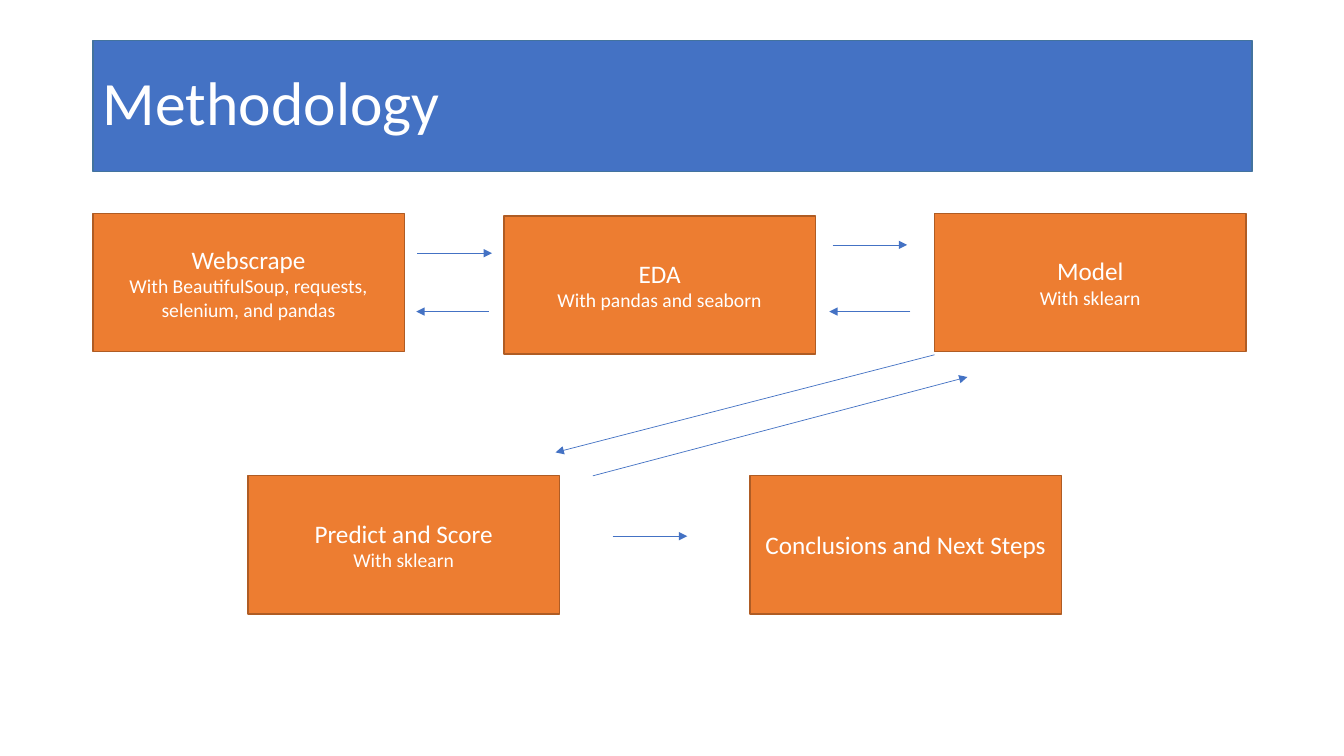
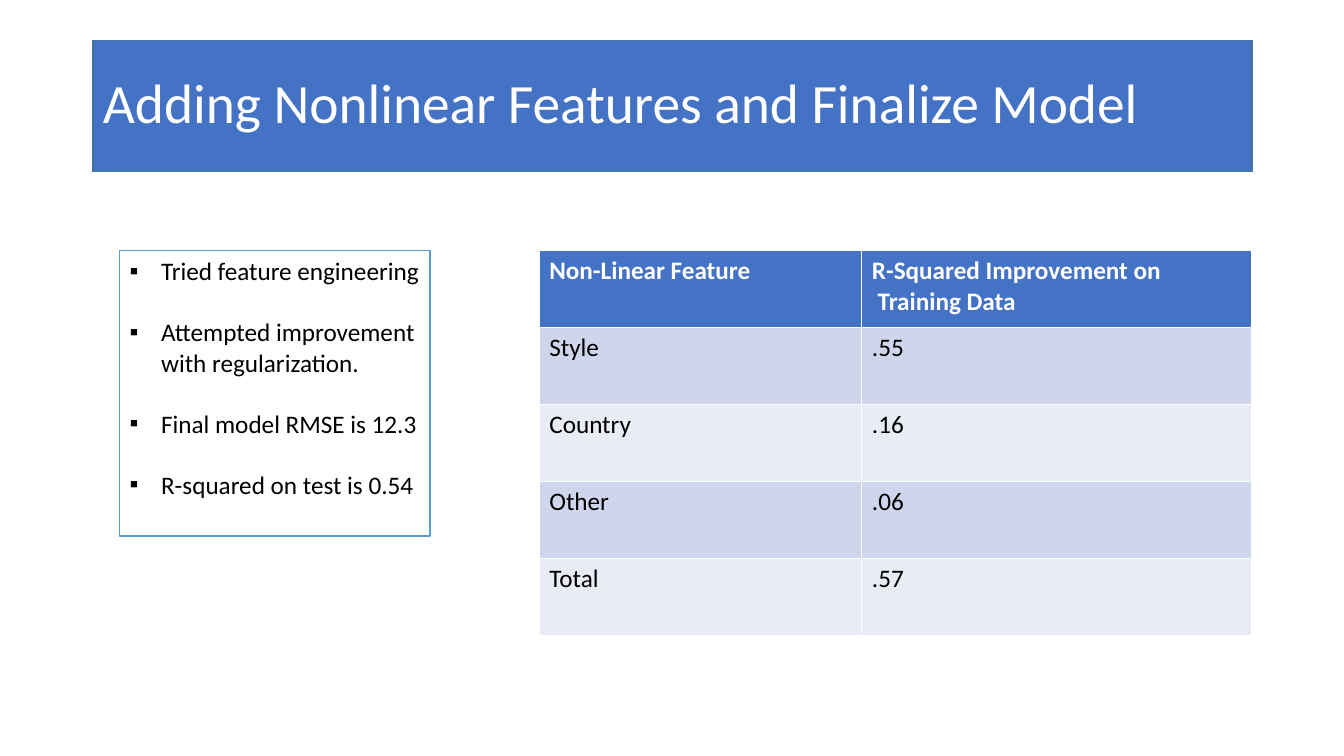
from lxml import etree
from pptx import Presentation
from pptx import util as u
from pptx.dml.color import RGBColor
from pptx.enum import shapes, text
from pptx.oxml import ns

FONT = "Calibri"
WHITE = RGBColor(0xFF, 0xFF, 0xFF)
BLACK = RGBColor(0, 0, 0)
BLUE = RGBColor(0x44, 0x72, 0xC4)
TITLE_EDGE = RGBColor(0x43, 0x73, 0x9E)
ORANGE = RGBColor(0xED, 0x7D, 0x31)
ORANGE_EDGE = RGBColor(0xAF, 0x5C, 0x24)
PANEL_EDGE = RGBColor(0x5B, 0x9B, 0xD5)
BANDS = (RGBColor(0xCF, 0xD5, 0xEA), RGBColor(0xE9, 0xEB, 0xF5))

TITLE_BAND = (2.34, 1.02, 29.21, 3.3)
STEP_SIZE = (7.85, 3.48)
BULLET_INDENT = 0.79

STEPS = (
    (2.34, 5.38, "Webscrape", "With BeautifulSoup, requests, selenium, and pandas"),
    (12.7, 5.44, "EDA", "With pandas and seaborn"),
    (23.55, 5.38, "Model", "With sklearn"),
    (6.25, 11.99, "Predict and Score", "With sklearn"),
    (18.9, 11.99, "Conclusions and Next Steps", None),
)
ARROWS = (
    (10.52, 6.38, 12.4, 6.38),
    (20.98, 6.17, 22.86, 6.17),
    (15.44, 13.51, 17.32, 13.51),
    (23.55, 8.94, 14, 11.4),
    (14.94, 11.99, 24.38, 9.5),
    (12.32, 7.85, 10.49, 7.85),
    (22.94, 7.85, 20.9, 7.85),
)
FINDINGS = (
    "Tried feature engineering",
    "Attempted improvement with regularization.",
    "Final model RMSE is 12.3",
    "R-squared on test is 0.54",
)
FEATURE_ROWS = (
    ("Non-Linear Feature", "R-Squared Improvement on\n\u00a0Training Data"),
    ("Style", ".55"),
    ("Country", ".16"),
    ("Other", ".06"),
    ("Total", ".57"),
)


def write(frame, content, size=18, color=BLACK, bold=False,
          align=text.PP_ALIGN.LEFT, first=True, line_spacing=None, before=0):
    """Write one paragraph into a text frame and return it."""
    paragraph = frame.paragraphs[0] if first else frame.add_paragraph()
    paragraph.alignment = align
    paragraph.space_before = u.Pt(before)
    if line_spacing:
        paragraph.line_spacing = line_spacing
    run = paragraph.add_run()
    run.text = content
    run.font.name = FONT
    run.font.size = u.Pt(size)
    run.font.bold = bold
    run.font.color.rgb = color
    return paragraph


def paint(shape, fill, edge):
    """Give a shape a solid fill and a one-point outline."""
    shape.fill.solid()
    shape.fill.fore_color.rgb = fill
    shape.line.color.rgb = edge
    shape.line.width = u.Pt(1)


def add_box(slide, box, fill, edge, anchor):
    """Add a flat rectangle and return its text frame."""
    shape = slide.shapes.add_shape(
        shapes.MSO_SHAPE.RECTANGLE, *map(u.Cm, box))
    shape.shadow.inherit = False
    paint(shape, fill, edge)
    frame = shape.text_frame
    frame.word_wrap = True
    frame.vertical_anchor = anchor
    return frame


def add_titled_slide(presentation, title, size):
    """Add a title-only slide with the blue title band."""
    slide = presentation.slides.add_slide(presentation.slide_layouts[5])
    band = slide.shapes.title
    band.left, band.top, band.width, band.height = map(u.Cm, TITLE_BAND)
    paint(band, BLUE, TITLE_EDGE)
    frame = band.text_frame
    frame.auto_size = text.MSO_AUTO_SIZE.NONE
    frame.vertical_anchor = text.MSO_ANCHOR.MIDDLE
    write(frame, title, size=size, color=WHITE, line_spacing=0.9)
    return slide


def add_step(slide, left, top, name, tools):
    """Add one orange process step with an optional line on its tools."""
    frame = add_box(slide, (left, top, *STEP_SIZE), ORANGE, ORANGE_EDGE,
                    text.MSO_ANCHOR.MIDDLE)
    write(frame, name, color=WHITE, align=text.PP_ALIGN.CENTER)
    if tools:
        write(frame, tools, size=14, color=WHITE,
              align=text.PP_ALIGN.CENTER, first=False)


def add_arrow(slide, *ends):
    """Add a thin blue arrow from the first point to the second."""
    arrow = slide.shapes.add_connector(
        shapes.MSO_CONNECTOR.STRAIGHT, *map(u.Cm, ends))
    arrow.line.color.rgb = BLUE
    arrow.line.width = u.Pt(0.5)
    etree.SubElement(arrow.line._get_or_add_ln(), ns.qn("a:tailEnd"), type="triangle")
    etree.SubElement(arrow._element.spPr, ns.qn("a:effectLst"))


def add_bullet(paragraph):
    """Give a paragraph a square bullet with a hanging indent."""
    properties = paragraph._p.get_or_add_pPr()
    indent = u.Cm(BULLET_INDENT)
    properties.set("marL", str(indent))
    properties.set("indent", str(-indent))
    etree.SubElement(properties, ns.qn("a:buFont"), typeface="Arial")
    etree.SubElement(properties, ns.qn("a:buChar"), char="▪")


def add_findings(slide, box, findings):
    """Add the outlined panel of bulleted findings."""
    frame = add_box(slide, box, WHITE, PANEL_EDGE, text.MSO_ANCHOR.TOP)
    for index, finding in enumerate(findings):
        add_bullet(write(frame, finding, first=index == 0,
                         before=22 if index else 0))


def add_feature_table(slide, left, top, widths, row_height, rows):
    """Add a table with a blue header and alternating row bands."""
    table = slide.shapes.add_table(
        len(rows), len(widths), u.Cm(left), u.Cm(top),
        u.Cm(sum(widths)), u.Cm(row_height * len(rows))).table
    for column, width in zip(table.columns, widths):
        column.width = u.Cm(width)
    for row_index, row in enumerate(rows):
        header = row_index == 0
        for column_index, content in enumerate(row):
            cell = table.cell(row_index, column_index)
            cell.fill.solid()
            cell.fill.fore_color.rgb = BLUE if header else BANDS[(row_index - 1) % 2]
            for line_index, line in enumerate(content.split("\n")):
                write(cell.text_frame, line, color=WHITE if header else BLACK,
                      bold=header, first=line_index == 0)


def main():
    """Build both slides and save the presentation."""
    presentation = Presentation()
    presentation.slide_width = u.Cm(33.87)
    presentation.slide_height = u.Cm(19.05)

    methodology = add_titled_slide(presentation, "Methodology", 44)
    for step in STEPS:
        add_step(methodology, *step)
    for ends in ARROWS:
        add_arrow(methodology, *ends)

    model = add_titled_slide(
        presentation, "Adding Nonlinear Features and Finalize Model", 39.6)
    add_findings(model, (3.02, 6.32, 7.82, 7.19), FINDINGS)
    add_feature_table(model, 13.59, 6.32, (8.13, 9.83), 1.94, FEATURE_ROWS)

    presentation.save("out.pptx")


main()
